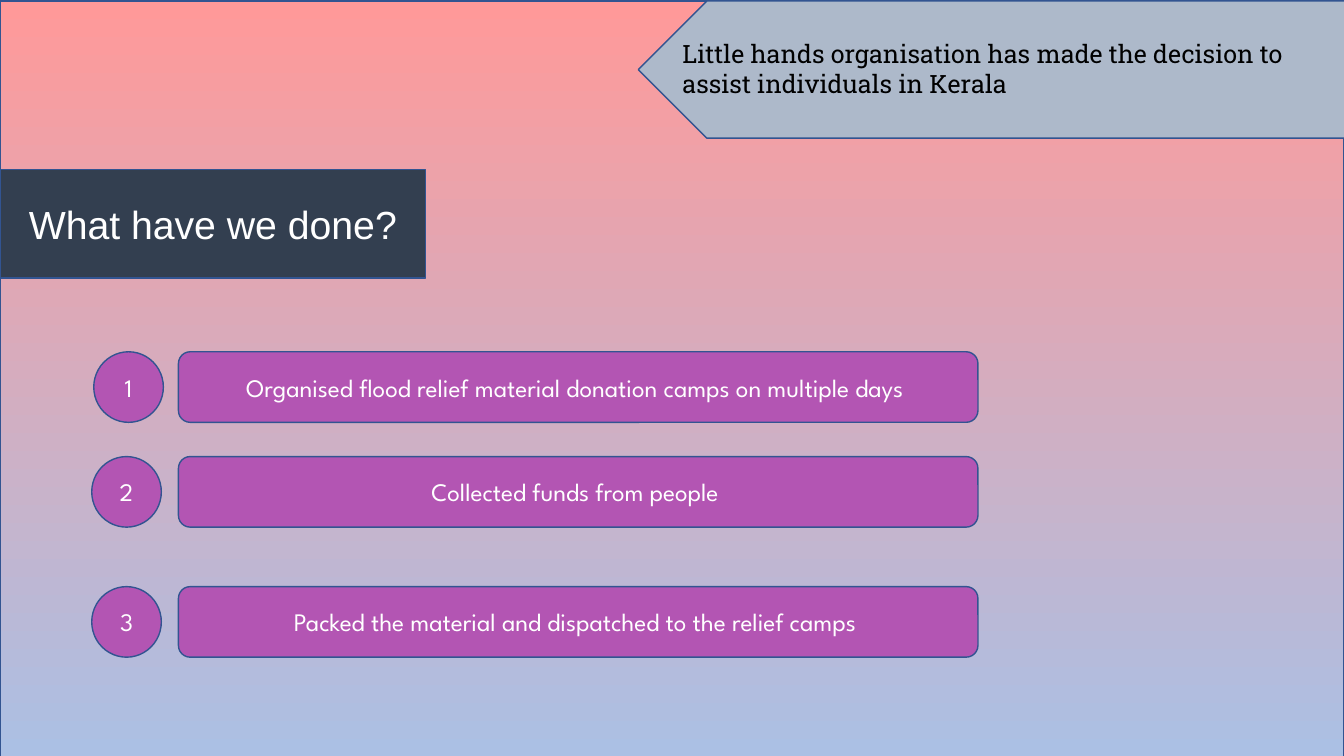
import pptx
import pptx.dml.color
import pptx.enum.shapes
import pptx.enum.text
import pptx.util

Inches = pptx.util.Inches
Shape = pptx.enum.shapes.MSO_SHAPE
Align = pptx.enum.text.PP_ALIGN

OUTLINE = "325491"
PURPLE = "B355B3"
STEP_FORMAT = {"name": "League Spartan", "size": pptx.util.Pt(18)}
TITLE_FORMAT = {"name": "Arial", "size": pptx.util.Pt(28)}
MESSAGE_FORMAT = {"name": "Roboto Slab", "size": pptx.util.Pt(18)}
STEPS = [
    (0.93, 3.49, "Organised flood relief material donation camps on multiple days "),
    (0.91, 4.53, "Collected funds from people "),
    (0.91, 5.82, "Packed the material and dispatched to the relief camps "),
]


def rgb(value):
    return pptx.dml.color.RGBColor.from_string(value)


def write(box, text, font_format, color, align):
    box.text_frame.word_wrap = True
    para = box.text_frame.paragraphs[0]
    para.alignment = align
    span = para.add_run()
    span.text = text
    for name, value in font_format.items():
        setattr(span.font, name, value)
    span.font.color.rgb = rgb(color)


def add_box(page, kind, left, top, width, height, fill=None):
    box = page.shapes.add_shape(
        kind, Inches(left), Inches(top), Inches(width), Inches(height))
    box.shadow.inherit = False
    box.line.color.rgb = rgb(OUTLINE)
    box.line.width = pptx.util.Pt(1)
    if fill:
        box.fill.solid()
        box.fill.fore_color.rgb = rgb(fill)
    return box


def add_label(page, kind, left, top, width, height, fill, text, font_format):
    box = add_box(page, kind, left, top, width, height, fill)
    box.text_frame.vertical_anchor = pptx.enum.text.MSO_ANCHOR.MIDDLE
    write(box, text, font_format, "FFFFFF", Align.CENTER)


def add_backdrop(page):
    backdrop = add_box(page, Shape.RECTANGLE, 0, 0.01, 13.33, 7.5)
    backdrop.fill.gradient()
    backdrop.fill.gradient_angle = 270
    for stop, color in zip(backdrop.fill.gradient_stops, ("FF9999", "ABC0E4")):
        stop.color.rgb = rgb(color)


def add_banner(page):
    arrow = add_box(page, Shape.PENTAGON, 6.33, 0.01, 7.01, 1.36, "ADB9CA")
    arrow.rotation = 180
    message = page.shapes.add_textbox(
        Inches(6.67), Inches(0.33), Inches(6.67), Inches(0.71))
    message.text_frame.auto_size = pptx.enum.text.MSO_AUTO_SIZE.SHAPE_TO_FIT_TEXT
    write(message, "Little hands organisation has made the decision to "
          "assist individuals in Kerala", MESSAGE_FORMAT, "000000", Align.LEFT)


def add_step(page, number, left, top, text):
    add_label(page, Shape.FLOWCHART_CONNECTOR, left, top, 0.69, 0.7,
              PURPLE, str(number), STEP_FORMAT)
    add_label(page, Shape.ROUNDED_RECTANGLE, 1.77, top, 7.93, 0.7,
              PURPLE, text, STEP_FORMAT)


def main():
    deck = pptx.Presentation()
    deck.slide_width = Inches(13.33)
    deck.slide_height = Inches(7.5)
    page = deck.slides.add_slide(deck.slide_layouts[6])
    add_backdrop(page)
    add_banner(page)
    add_label(page, Shape.RECTANGLE, 0, 1.68, 4.22, 1.08,
              "333F50", "What have we done?", TITLE_FORMAT)
    for number, (left, top, text) in enumerate(STEPS, 1):
        add_step(page, number, left, top, text)
    deck.save("out.pptx")


if __name__ == "__main__":
    main()
